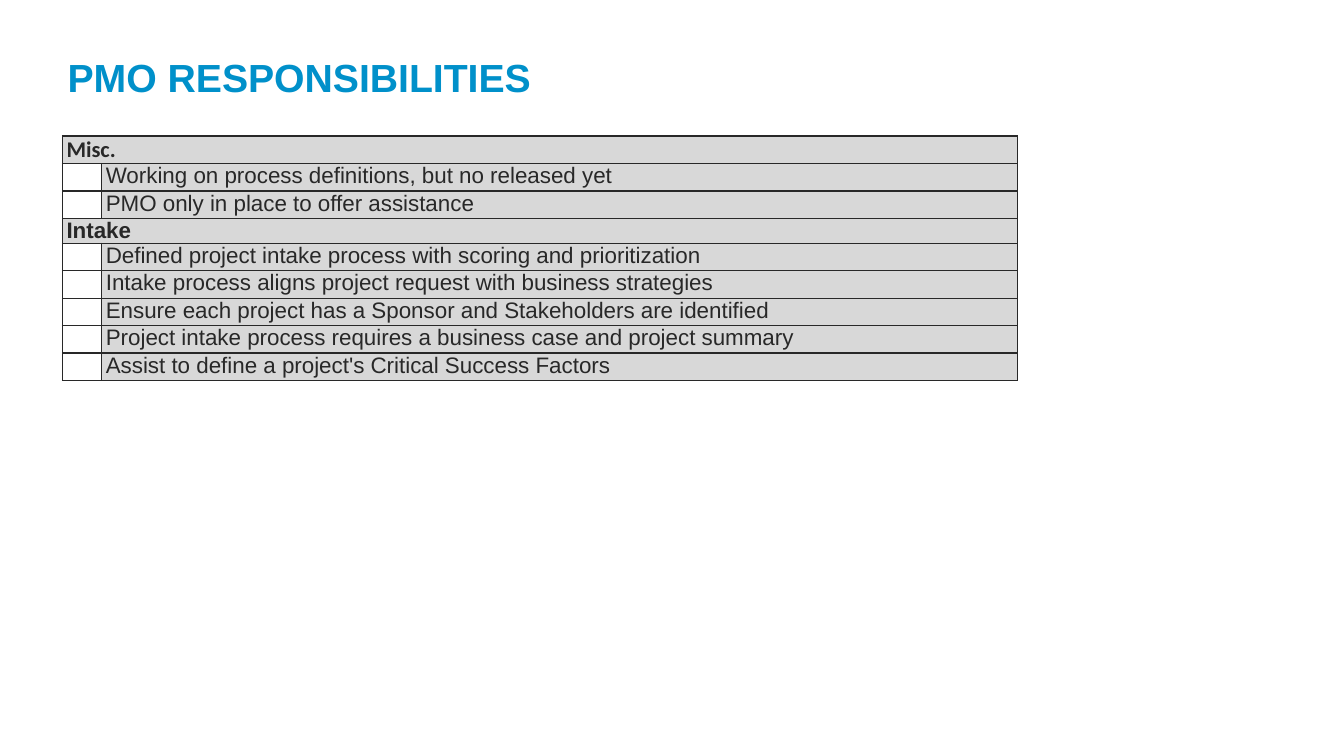
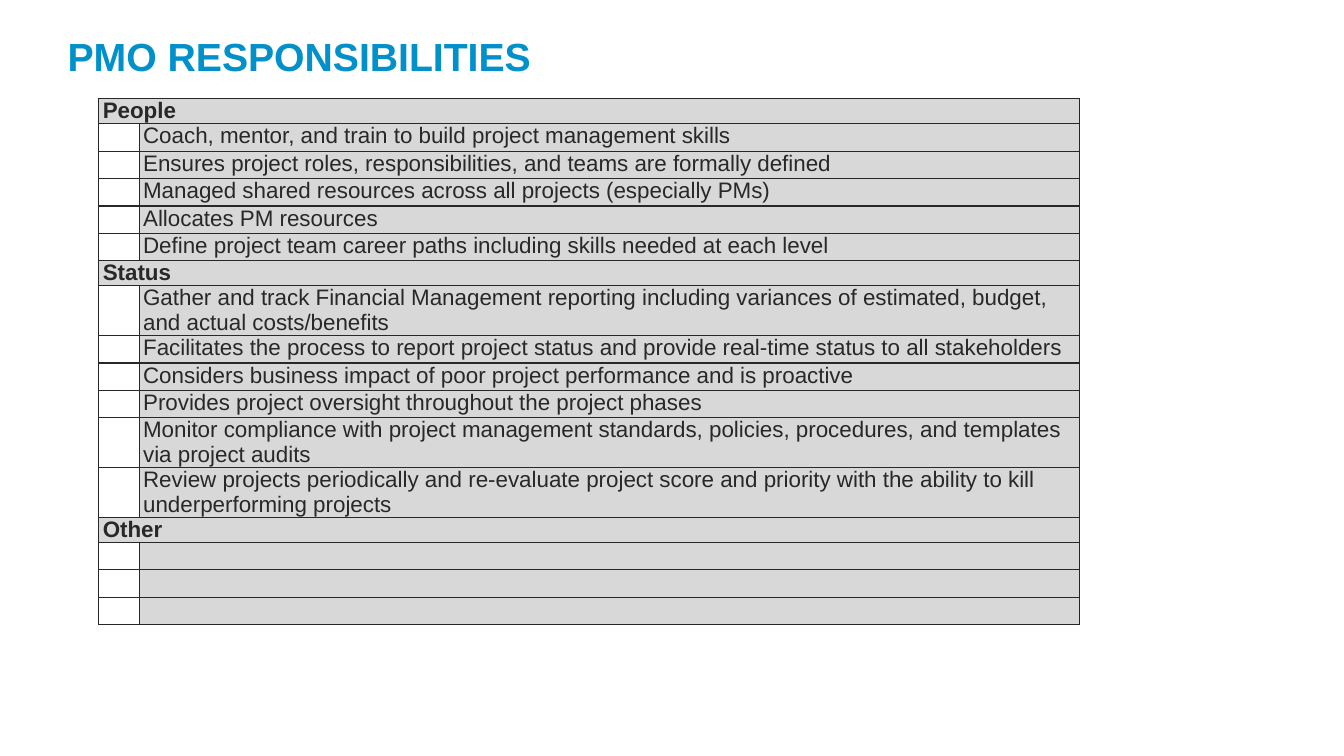
from lxml import etree
from pptx import Presentation
from pptx.dml.color import RGBColor
from pptx.enum import text
from pptx.oxml import ns
from pptx.util import Inches, Pt

BLUE, DARK, GRAY = "0090CA", "282828", "D8D8D8"
TITLE_FONT = {"name": "Arial", "size": Pt(28), "bold": True}
CELL_FONT = {"name": "Arial", "size": Pt(16), "bold": False}
TITLE_FRAME = {
    "vertical_anchor": text.MSO_ANCHOR.MIDDLE,
    "word_wrap": True,
    "auto_size": text.MSO_AUTO_SIZE.NONE,
}
CELL_MARGINS = {
    "margin_left": Inches(0.04),
    "margin_right": Inches(0.04),
    "margin_top": 0,
    "margin_bottom": 0,
}
PLAIN_TABLE = {"first_row": False, "horz_banding": False}
ROW_HEIGHT = 0.22

SLIDES = [
    {
        "title_top": 0.34,
        "table_box": (0.62, 1.35, 0.39, 9.08),
        "sections": [
            ("Misc.", "Calibri", [
                "Working on process definitions, but no released yet",
                "PMO only in place to offer assistance",
            ]),
            ("Intake", "Arial", [
                "Defined project intake process with scoring and prioritization",
                "Intake process aligns project request with business strategies",
                "Ensure each project has a Sponsor and Stakeholders are identified",
                "Project intake process requires a business case and project summary",
                "Assist to define a project's Critical Success Factors",
            ]),
        ],
    },
    {
        "title_top": 0.13,
        "table_box": (0.98, 0.98, 0.4, 9.33),
        "sections": [
            ("People", "Arial", [
                "Coach, mentor, and train to build project management skills",
                "Ensures project roles, responsibilities, and teams are formally defined",
                "Managed shared resources across all projects (especially PMs)",
                "Allocates PM resources",
                "Define project team career paths including skills needed at each level",
            ]),
            ("Status", "Arial", [
                "Gather and track Financial Management reporting including variances of "
                "estimated, budget, and actual costs/benefits",
                "Facilitates the process to report project status and provide real-time "
                "status to all stakeholders",
                "Considers business impact of poor project performance and is proactive",
                "Provides project oversight throughout the project phases",
                "Monitor compliance with project management standards, policies, "
                "procedures, and templates via project audits",
                "Review projects periodically and re-evaluate project score and priority "
                "with the ability to kill underperforming projects",
            ]),
            ("Other", "Arial", [""] * 3),
        ],
    },
]


def apply_format(target, values):
    """Set each named attribute on the target."""
    for name, value in values.items():
        setattr(target, name, value)


def set_color(color_format, color):
    """Give a colour format a hex colour."""
    color_format.rgb = RGBColor.from_string(color)


def write_text(paragraph, wording, font, color):
    """Write one formatted run, or size the paragraph if it is empty."""
    if wording:
        run = paragraph.add_run()
        run.text = wording
        apply_format(run.font, font)
        set_color(run.font.color, color)
    else:
        size = str(int(font["size"].pt * 100))
        etree.SubElement(paragraph._p, ns.qn("a:endParaRPr"), sz=size)


def add_borders(cell):
    """Draw a thin dark line on all four sides of a cell."""
    properties = cell._tc.get_or_add_tcPr()
    for index, side in enumerate(("lnL", "lnR", "lnT", "lnB")):
        line = etree.Element(ns.qn(f"a:{side}"), w=str(Pt(1)))
        fill = etree.SubElement(line, ns.qn("a:solidFill"))
        etree.SubElement(fill, ns.qn("a:srgbClr"), val=DARK)
        properties.insert(index, line)


def format_cell(cell, wording="", font=CELL_FONT, fill=GRAY):
    """Fill, border and write one table cell."""
    apply_format(cell, CELL_MARGINS)
    if fill:
        cell.fill.solid()
        set_color(cell.fill.fore_color, fill)
    else:
        cell.fill.background()
    add_borders(cell)
    write_text(cell.text_frame.paragraphs[0], wording, font, DARK)


def add_title(slide, top):
    """Place the shared title at the given height."""
    title = slide.shapes.title
    box = {"left": 0.57, "top": top, "width": 11.79, "height": 0.85}
    apply_format(title, {name: Inches(value) for name, value in box.items()})
    apply_format(title.text_frame, TITLE_FRAME)
    paragraph = title.text_frame.paragraphs[0]
    paragraph.alignment = text.PP_ALIGN.LEFT
    write_text(paragraph, "PMO RESPONSIBILITIES", TITLE_FONT, BLUE)


def add_checklist(slide, box, sections):
    """Build a checklist table with a merged heading row for each section."""
    left, top, check_width, item_width = box
    row_count = sum(1 + len(items) for _, _, items in sections)
    table = slide.shapes.add_table(
        row_count, 2, Inches(left), Inches(top),
        Inches(check_width + item_width), Inches(ROW_HEIGHT * row_count),
    ).table
    apply_format(table, PLAIN_TABLE)
    for column, width in zip(table.columns, (check_width, item_width)):
        column.width = Inches(width)
    for row in table.rows:
        row.height = Inches(ROW_HEIGHT)
    rows = iter(table.rows)
    for heading, font_name, items in sections:
        first, second = next(rows).cells
        first.merge(second)
        format_cell(first, heading, {**CELL_FONT, "name": font_name, "bold": True})
        format_cell(second)
        for item in items:
            check, description = next(rows).cells
            format_cell(check, fill=None)
            format_cell(description, item)


def main():
    """Build and save the presentation."""
    presentation = Presentation()
    presentation.slide_width = Inches(13.33)
    presentation.slide_height = Inches(7.5)
    for content in SLIDES:
        slide = presentation.slides.add_slide(presentation.slide_layouts[5])
        add_title(slide, content["title_top"])
        add_checklist(slide, content["table_box"], content["sections"])
    presentation.save("out.pptx")


if __name__ == "__main__":
    main()
